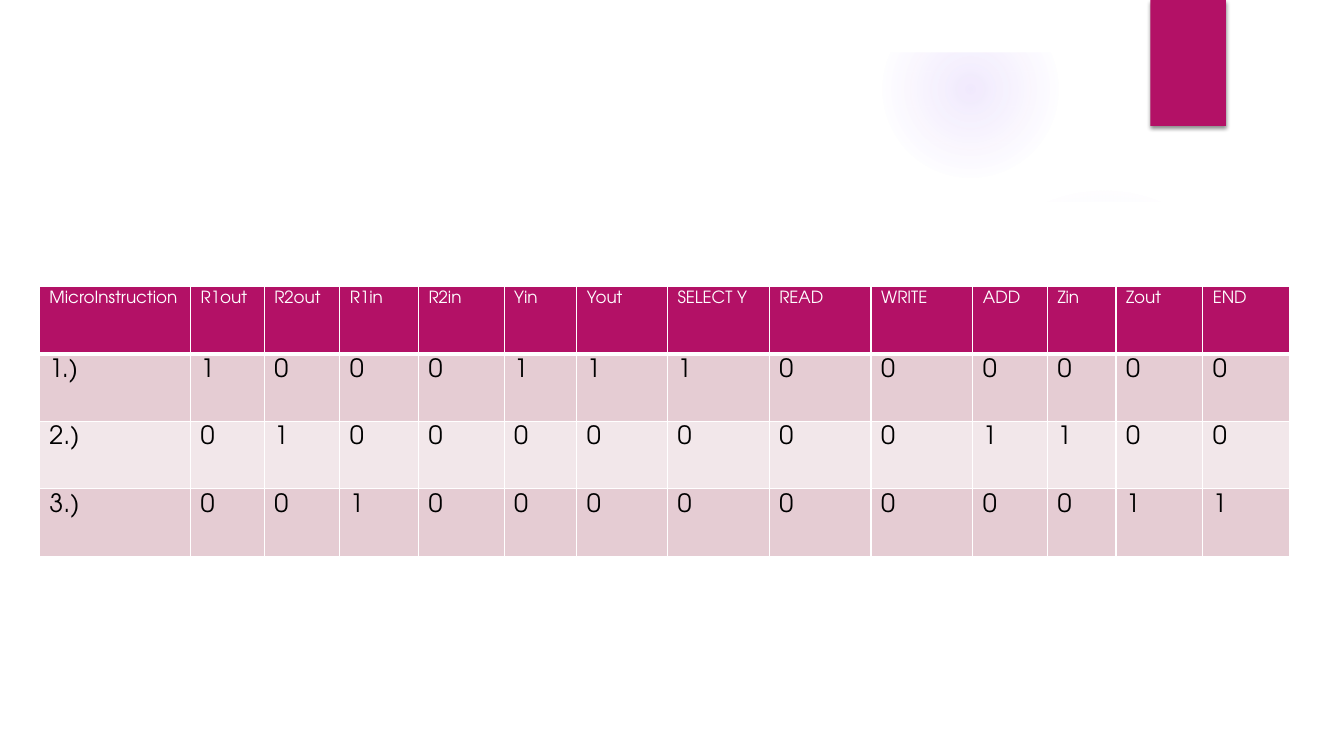
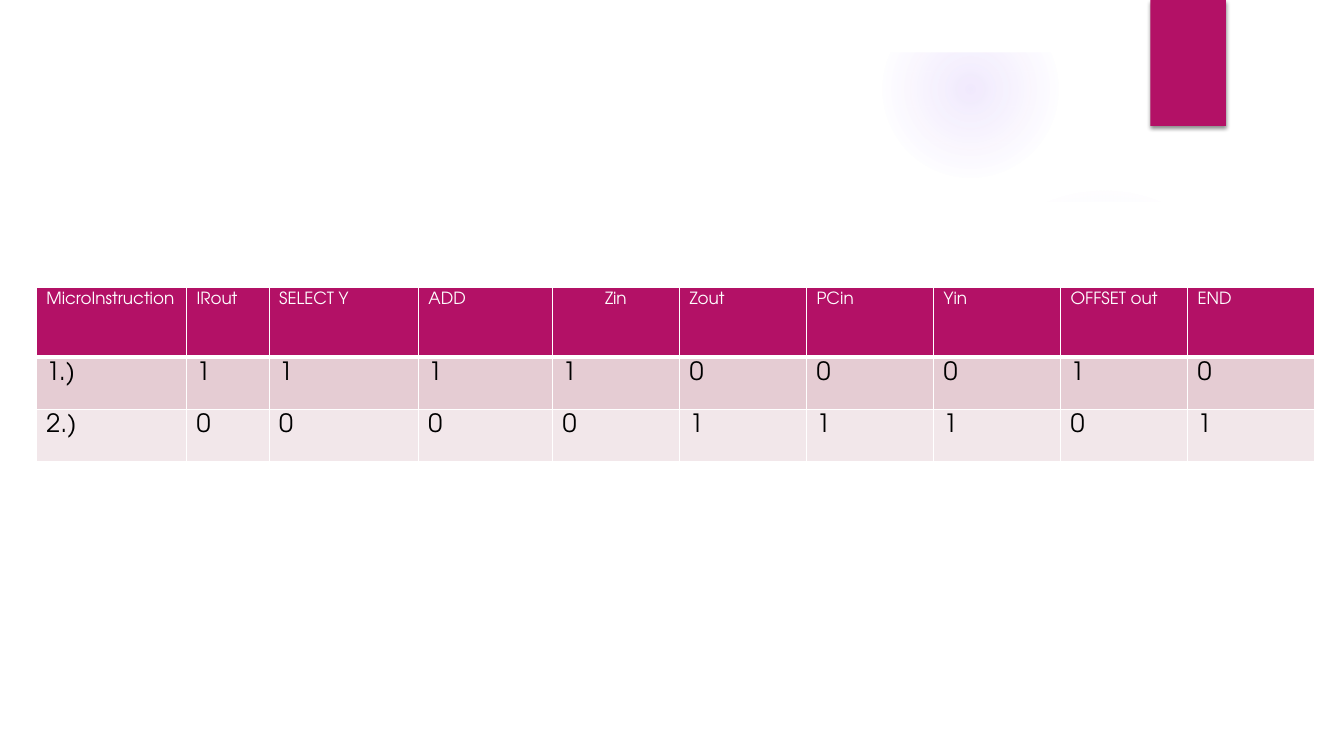
"""Two slides of micro-instruction tables on a shared backdrop."""
from dataclasses import dataclass

from pptx import Presentation
from pptx.dml.color import RGBColor
from pptx.enum import shapes, text
from pptx.oxml import parse_xml
from pptx.oxml.ns import nsdecls, qn
from pptx.util import Inches, Pt


@dataclass(frozen=True)
class Theme:
    """Colours, font and type sizes of the presentation."""
    white: str = "FFFFFF"
    black: str = "000000"
    accent: str = "B31166"
    glow: str = "9B6BF2"
    bands: tuple = ("E5CCD3", "F2E7EA")
    font: str = "TeX Gyre Adventor"
    head_size: int = 12
    body_size: int = 18
    rule: int = 1
    head_rule: int = 3


THEME = Theme()
SLIDE_W, SLIDE_H = 13.33, 7.5
FRAME = 0.52

# Left, top, diameter, then (position %, opacity %) stops.
GLOWS = (
    (9.41, 1.83, 3.08, ((0, 7), (36, 6), (69, 0))),
    (8.75, 0.01, 1.75, ((0, 14), (36, 7), (73, 0))),
)
SHEEN = ((9.34, 2.5), (10.6, 2.45), (11.8, 2.31), (12.89, 2.14), (12.83, 1.66),
         (12.13, 1.88), (11.44, 2.06), (10.75, 2.21), (10.1, 2.32), (9.3, 2.43))
PANEL = ((0.5, 7), (12.84, 7), (12.84, 2.04), (12, 2.17), (11.16, 2.27),
         (10.32, 2.35), (9.49, 2.41), (8.4, 2.46), (7.08, 2.48), (5.83, 2.46),
         (4.44, 2.41), (3.21, 2.33), (2.16, 2.24), (1.35, 2.15), (0.5, 2.04))


def rgb(code):
    """Turn a hex code into a colour."""
    return RGBColor.from_string(code)


def paint(sp, color):
    """Give a shape a plain fill, no outline and no shadow."""
    sp.fill.solid()
    sp.fill.fore_color.rgb = rgb(color)
    sp.line.fill.background()
    sp.shadow.inherit = False


def add_glow(s, left, top, size, stops):
    """Place a round glow that fades out from its centre."""
    sp = s.shapes.add_shape(shapes.MSO_SHAPE.OVAL, Inches(left), Inches(top),
                            Inches(size), Inches(size))
    paint(sp, THEME.glow)
    marks = "".join(
        f'<a:gs pos="{pos * 1000}"><a:srgbClr val="{THEME.glow}">'
        f'<a:alpha val="{alpha * 1000}"/></a:srgbClr></a:gs>' for pos, alpha in stops)
    gradient = parse_xml(
        f'<a:gradFill {nsdecls("a")} rotWithShape="1"><a:gsLst>{marks}</a:gsLst>'
        '<a:path path="circle"><a:fillToRect l="50000" t="50000" r="50000" b="50000"/>'
        '</a:path></a:gradFill>')
    props = sp._element.spPr
    props.replace(props.find(qn("a:solidFill")), gradient)


def add_outline(s, points, color, opacity=100):
    """Draw a closed, filled outline through points given in inches."""
    builder = s.shapes.build_freeform(*points[0], scale=Inches(1))
    builder.add_line_segments(points[1:], close=True)
    sp = builder.convert_to_shape()
    paint(sp, color)
    if opacity < 100:
        fill = sp._element.spPr.find(qn("a:solidFill"))
        fill[0].append(parse_xml(f'<a:alpha {nsdecls("a")} val="{opacity * 1000}"/>'))


def add_frame(s, width, height):
    """Draw the white margin around the slide."""
    sp = s.shapes.add_shape(shapes.MSO_SHAPE.FRAME, 0, 0, Inches(width), Inches(height))
    sp.adjustments[0] = FRAME / height
    paint(sp, THEME.white)


def add_tab(s, left, top, width, height):
    """Hang the shadowed accent tab from the top edge."""
    sp = s.shapes.add_shape(shapes.MSO_SHAPE.RECTANGLE, Inches(left), Inches(top),
                            Inches(width), Inches(height))
    paint(sp, THEME.accent)
    sp._element.spPr.find(qn("a:effectLst")).append(parse_xml(
        f'<a:outerShdw {nsdecls("a")} blurRad="{Pt(3)}" dist="{Pt(2)}" dir="5400000" '
        f'rotWithShape="0"><a:srgbClr val="{THEME.black}"><a:alpha val="45000"/>'
        '</a:srgbClr></a:outerShdw>'))


def add_backdrop(s):
    """Build the decoration that all slides share."""
    for glow in GLOWS:
        add_glow(s, *glow)
    add_outline(s, SHEEN, THEME.white, opacity=20)
    add_outline(s, PANEL, THEME.white)
    add_frame(s, SLIDE_W, SLIDE_H)
    add_tab(s, 11.41, 0, 0.75, 1.25)


def set_borders(cell, top, bottom):
    """Rule a cell in white; top and bottom weights are in points."""
    weights = {"lnL": THEME.rule, "lnR": THEME.rule, "lnT": top, "lnB": bottom}
    props = cell._tc.get_or_add_tcPr()
    for i, (side, weight) in enumerate(weights.items()):
        props.insert(i, parse_xml(
            f'<a:{side} {nsdecls("a")} w="{Pt(weight)}"><a:solidFill>'
            f'<a:srgbClr val="{THEME.white}"/></a:solidFill></a:{side}>'))


def fill_cell(cell, words, row):
    """Write and style one cell according to its row."""
    head = row == 0
    cell.fill.solid()
    cell.fill.fore_color.rgb = rgb(THEME.accent if head else THEME.bands[(row - 1) % 2])
    set_borders(cell, THEME.head_rule if row == 1 else THEME.rule,
                THEME.head_rule if head else THEME.rule)
    p = cell.text_frame.paragraphs[0]
    p.text = words
    font = p.runs[0].font
    font.name = THEME.font
    font.size = Pt(THEME.head_size if head else THEME.body_size)
    font.bold = False
    font.color.rgb = rgb(THEME.white if head else THEME.black)


def add_signal_table(s, left, top, widths, heights, signals, steps):
    """Place a table of control signals, one row of bits for each step."""
    rows = [["MicroInstruction", *signals]]
    rows += [[f"{n}.)", *bits] for n, bits in enumerate(steps, 1)]
    table = s.shapes.add_table(len(rows), len(widths), Inches(left), Inches(top),
                               Inches(sum(widths)), Inches(sum(heights))).table
    for column, width in zip(table.columns, widths):
        column.width = Inches(width)
    for r, (height, row) in enumerate(zip(heights, rows)):
        table.rows[r].height = Inches(height)
        for c, words in enumerate(row):
            fill_cell(table.cell(r, c), words, r)
    return table


def add_slide(prs):
    """Add a blank slide with the shared backdrop."""
    s = prs.slides.add_slide(prs.slide_layouts[6])
    s.background.fill.solid()
    s.background.fill.fore_color.rgb = rgb(THEME.white)
    add_backdrop(s)
    return s


def add_register_slide(prs):
    """Build the slide with the three-step register addition."""
    add_signal_table(
        add_slide(prs), 0.39, 2.84,
        [1.5, 0.73, 0.75, 0.78, 0.85, 0.72, 0.9, 1.01, 1.01, 1.01, 0.74, 0.68, 0.86, 0.86],
        [0.67] * 4,
        ["R1out", "R2out", "R1in", "R2in", "Yin", "Yout", "SELECT Y", "READ", "WRITE",
         "ADD", "Zin", "Zout", "END"],
        ["1000111000000", "0100000001100", "0010000000011"])


def add_branch_slide(prs):
    """Build the slide with the two-step branch."""
    signals = ["IRout", "SELECT Y", "ADD", "Zin", "Zout", "PCin", "Yin", "OFFSET out", "END"]
    table = add_signal_table(
        add_slide(prs), 0.36, 2.85,
        [1.49, 0.82, 1.48, 1.33] + [1.26] * 6, [0.69, 0.52, 0.52],
        signals, ["111100010", "000011101"])
    zin = table.cell(0, signals.index("Zin") + 1)
    zin.text_frame.paragraphs[0].alignment = text.PP_ALIGN.CENTER


prs = Presentation()
prs.slide_width, prs.slide_height = Inches(SLIDE_W), Inches(SLIDE_H)
add_register_slide(prs)
add_branch_slide(prs)
prs.save("out.pptx")
